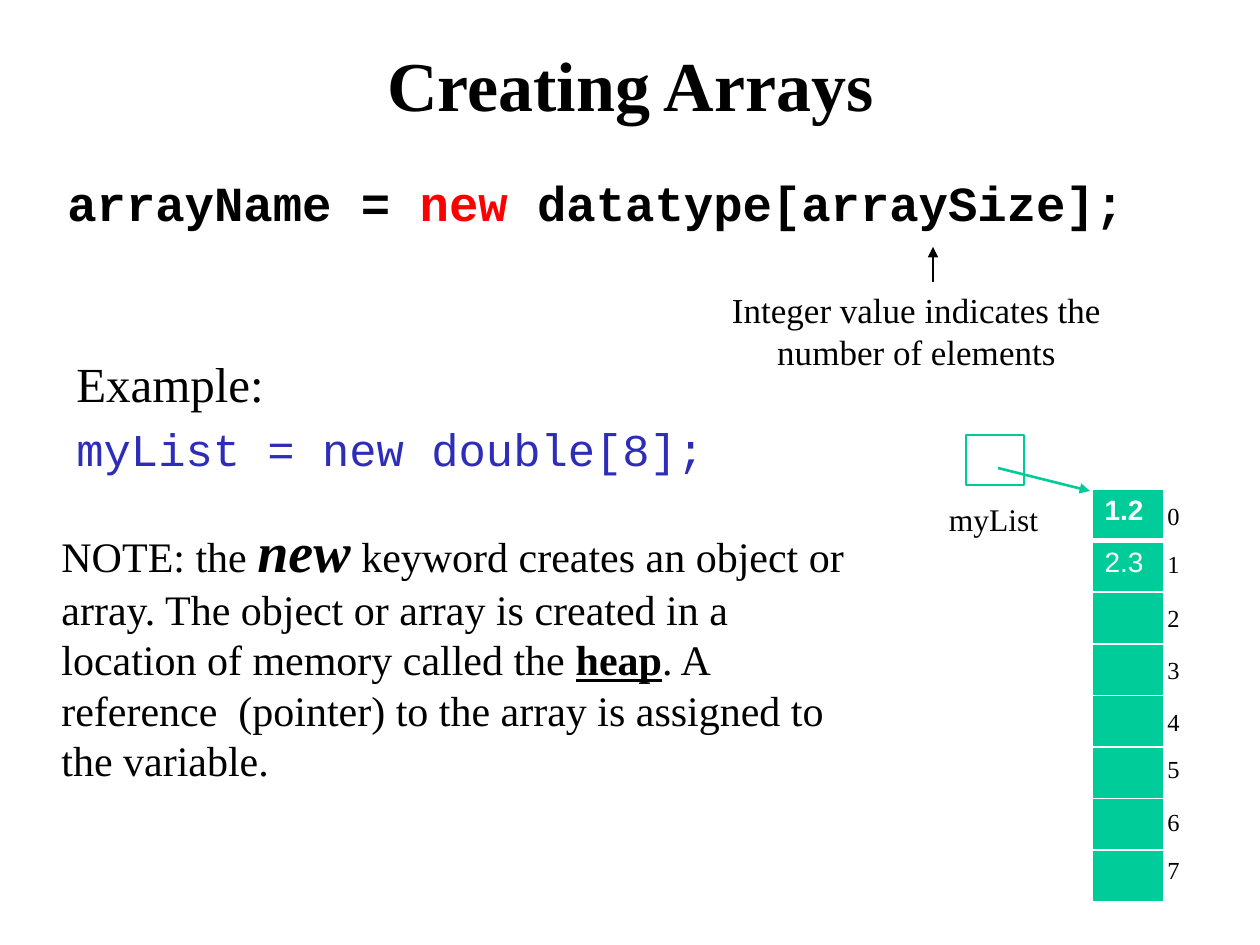
import pptx
import pptx.util
import pptx.dml.color
import pptx.enum.shapes
import pptx.enum.text
import pptx.oxml
import pptx.oxml.ns
import lxml.etree

SCALE = 914400 / 126
COLORS = {"black": "000000", "red": "FF0000", "blue": "2D2DB9", "green": "00CC99", "white": "FFFFFF"}
SERIF, MONO, SANS = "Times New Roman", "Courier New", "Arial"
ALIGN = pptx.enum.text.PP_ALIGN
ANCHOR = pptx.enum.text.MSO_ANCHOR
RGB = {name: pptx.dml.color.RGBColor.from_string(value) for name, value in COLORS.items()}


def px(*lengths):
    return [round(length * SCALE) for length in lengths]


def add_text(box, paragraphs, align=ALIGN.LEFT, anchor=ANCHOR.TOP):
    sp = s.shapes.add_textbox(*px(*box))
    tf = sp.text_frame
    tf.word_wrap = True
    tf.vertical_anchor = anchor
    for i, runs in enumerate(paragraphs):
        p = tf.add_paragraph() if i else tf.paragraphs[0]
        p.alignment = align
        if i:
            p.space_before = pptx.util.Pt(5.2)
        for text, size, font, color, style in runs:
            r = p.add_run()
            r.text = text
            r.font.size = pptx.util.Pt(size)
            r.font.name = font
            r.font.color.rgb = RGB[color]
            r.font.bold = "b" in style
            r.font.italic = "i" in style
            r.font.underline = "u" in style


prs = pptx.Presentation()
prs.slide_width, prs.slide_height = px(1260, 945)
s = prs.slides.add_slide(prs.slide_layouts[6])

add_text((95, 32, 1071, 103), [[("Creating Arrays", 40, SERIF, "black", "b")]], ALIGN.CENTER, ANCHOR.MIDDLE)
add_text((55, 166, 1124, 95), [[
    ("arrayName = ", 28, MONO, "black", "b"),
    ("new", 28, MONO, "red", "b"),
    (" datatype[arraySize];", 28, MONO, "black", "b"),
]])
add_text((49, 510, 835, 285), [[
    ("NOTE: the ", 24, SERIF, "black", ""),
    ("new", 32, SERIF, "black", "bi"),
    (" keyword creates an object or array. The object or array is created in a "
     "location of memory called the ", 24, SERIF, "black", ""),
    ("heap", 24, SERIF, "black", "bu"),
    (". A reference  (pointer) to the array is assigned to the variable.", 24, SERIF, "black", ""),
]])
add_text((64, 347, 761, 137), [
    [("Example:", 28, SERIF, "black", "")],
    [("myList = new double[8];", 26, MONO, "blue", "")],
])
add_text((699, 282, 435, 97),
         [[("Integer value indicates the number of elements", 20, SERIF, "black", "")]], ALIGN.CENTER)

table = s.shapes.add_table(8, 1, *px(1092, 489, 72, 413)).table
table.horz_banding = False
values = ["1.2", "2.3"] + [""] * 6
for i, value in enumerate(values):
    cell = table.cell(i, 0)
    cell.text = value
    p = cell.text_frame.paragraphs[0]
    for r in p.runs:
        r.font.size = pptx.util.Pt(16)
        r.font.name = SANS
        r.font.bold = i == 0
        r.font.color.rgb = RGB["white"]
    tcPr = cell._tc.get_or_add_tcPr()
    for side in "LRTB":
        thick = (i, side) in [(0, "B"), (1, "T")]
        ln = lxml.etree.SubElement(tcPr, pptx.oxml.ns.qn("a:ln" + side), w=str(pptx.util.Pt(3 if thick else 1)))
        fill = lxml.etree.SubElement(ln, pptx.oxml.ns.qn("a:solidFill"))
        lxml.etree.SubElement(fill, pptx.oxml.ns.qn("a:srgbClr"), val=COLORS["white"])
    cell.fill.solid()
    cell.fill.fore_color.rgb = RGB["green"]

add_text((916, 494, 155, 50), [[("myList", 18, SERIF, "black", "")]], ALIGN.CENTER)

sp = s.shapes.add_shape(pptx.enum.shapes.MSO_SHAPE.RECTANGLE, *px(966, 435, 58, 50))
sp.shadow.inherit = False
sp.fill.background()
sp.line.color.rgb = RGB["green"]
sp.line.width = pptx.util.Pt(1)

for ends, color in [((933, 282, 933, 247), "black"), ((998, 468, 1090, 491), "green")]:
    arrow = s.shapes.add_connector(pptx.enum.shapes.MSO_CONNECTOR.STRAIGHT, *px(*ends))
    arrow.line.color.rgb = RGB[color]
    arrow.line.width = pptx.util.Pt(1.5)
    lxml.etree.SubElement(arrow.line._get_or_add_ln(), pptx.oxml.ns.qn("a:tailEnd"), type="triangle")
    lxml.etree.SubElement(arrow._element.spPr, pptx.oxml.ns.qn("a:effectLst"))

for index, top in enumerate([495, 543, 597, 649, 701, 748, 801, 849]):
    add_text((1155, top, 38, 43), [[(str(index), 14, SERIF, "black", "")]])

prs.save("out.pptx")
